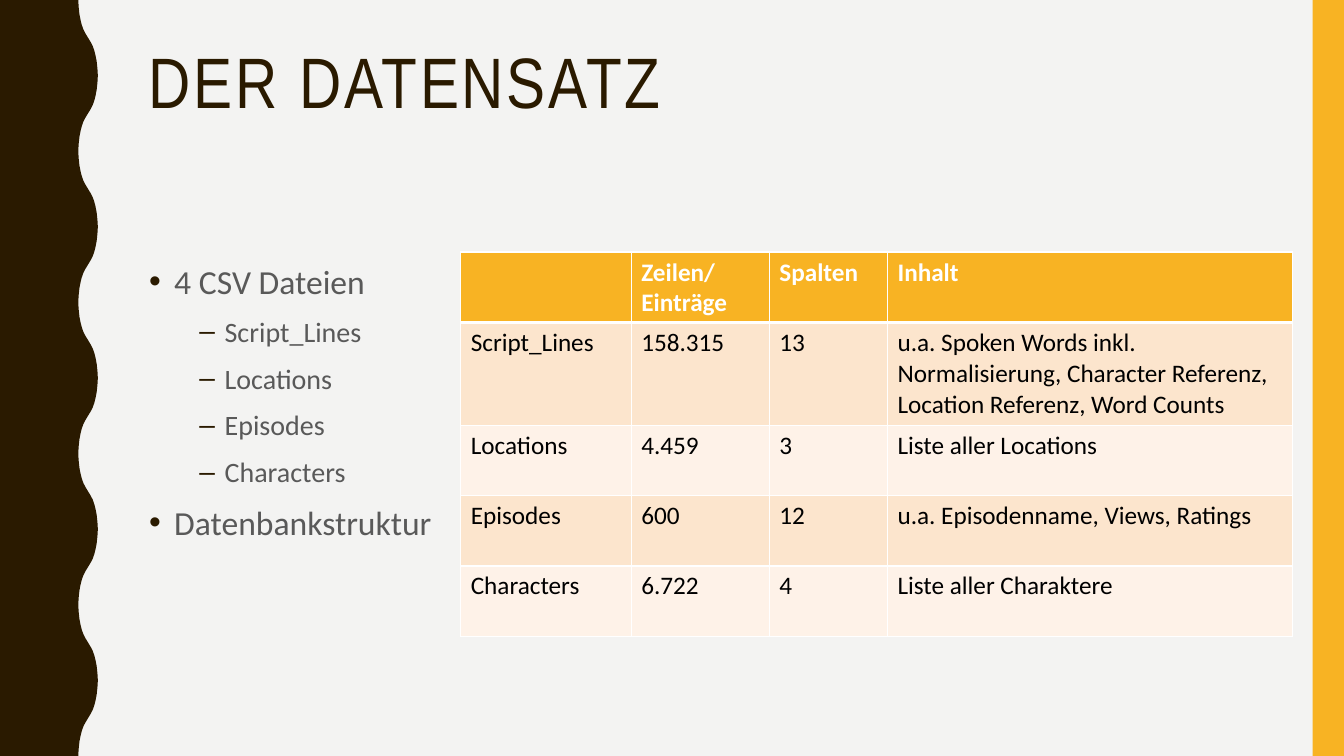
from lxml import etree
from pptx import Presentation
from pptx.dml.color import RGBColor
from pptx.enum.shapes import MSO_SHAPE
from pptx.oxml.ns import qn
from pptx.util import Inches, Pt

RECTANGLE = MSO_SHAPE.RECTANGLE
BROWN = RGBColor(0x2A, 0x1A, 0x00)
AMBER = RGBColor(0xF8, 0xB3, 0x23)
BACKGROUND = RGBColor(0xF3, 0xF3, 0xF2)
GREY = RGBColor(0x59, 0x59, 0x59)
WHITE = RGBColor(0xFF, 0xFF, 0xFF)
BLACK = RGBColor(0x00, 0x00, 0x00)
BANDS = (RGBColor(0xFC, 0xE5, 0xCD), RGBColor(0xFE, 0xF2, 0xE8))
HEADING_FONT, BODY_FONT = "Arial Narrow", "Calibri"

WAVE_COUNT = 5
TROUGH = 0.8
RISE = ((0, 0), (0.02, 0.09), (0.06, 0.19), (0.12, 0.27), (0.18, 0.33),
        (0.26, 0.39), (0.36, 0.44), (0.5, 0.5))

BULLETS = (("4 CSV Dateien", 0), ("Script_Lines", 1), ("Locations", 1),
           ("Episodes", 1), ("Characters", 1), ("Datenbankstruktur", 0))
LEVELS = ((24, 0.25, "•"), (20, 0.75, "–"))

COLUMN_SHARES = (0.205, 0.166, 0.142, 0.487)
ROW_SHARES = (0.183, 0.268, 0.183, 0.183, 0.183)
FILES = (
    ("", "Zeilen/\nEinträge", "Spalten", "Inhalt"),
    ("Script_Lines", "158.315", "13",
     "u.a. Spoken Words inkl. Normalisierung, Character Referenz,\n"
     "Location Referenz, Word Counts"),
    ("Locations", "4.459", "3", "Liste aller Locations"),
    ("Episodes", "600", "12", "u.a. Episodenname, Views, Ratings"),
    ("Characters", "6.722", "4", "Liste aller Charaktere"),
)


def box_of(presentation, left, top, width, height):
    """Turn percentages of the slide into a box of lengths."""
    across, down = presentation.slide_width, presentation.slide_height
    return (int(across * left / 100), int(down * top / 100),
            int(across * width / 100), int(down * height / 100))


def paint(shape, color):
    """Give a shape a plain fill without line or shadow."""
    shape.fill.solid()
    shape.fill.fore_color.rgb = color
    shape.line.fill.background()
    shape.shadow.inherit = False


def style(paragraph, name, size, color, bold=False):
    """Set the font of a whole paragraph."""
    font = paragraph.font
    font.name, font.size, font.bold = name, Pt(size), bold
    font.color.rgb = color


def add_wavy_band(slide, box):
    """Draw the band whose right edge swings between trough and crest."""
    left, top, width, height = box
    half = height / WAVE_COUNT / 2
    rise = RISE + tuple((1 - depth, 1 - step) for depth, step in RISE[-2::-1])
    edge = []
    for wave in range(WAVE_COUNT):
        start = top + 2 * wave * half
        edge += [(depth, start + step * half) for depth, step in rise]
        edge += [(depth, start + (2 - step) * half) for depth, step in rise[::-1]]
    points = [(left + width * (TROUGH + (1 - TROUGH) * depth), y)
              for depth, y in edge]
    builder = slide.shapes.build_freeform(left, top)
    builder.add_line_segments(points + [(left, top + height)], close=True)
    paint(builder.convert_to_shape(), BROWN)


def add_side_bar(slide, box):
    """Draw the plain bar on the right."""
    paint(slide.shapes.add_shape(RECTANGLE, *box), AMBER)


def add_text_frame(slide, box):
    """Add a wrapping text box and return its frame."""
    frame = slide.shapes.add_textbox(*box).text_frame
    frame.word_wrap = True
    return frame


def add_title(slide, box, text):
    """Write the letter-spaced title."""
    paragraph = add_text_frame(slide, box).paragraphs[0]
    run = paragraph.add_run()
    run.text = text
    run._r.get_or_add_rPr().set("spc", "200")
    paragraph.line_spacing = 0.9
    style(paragraph, HEADING_FONT, 51, BROWN)


def add_bullets(slide, box):
    """Write the two-level list."""
    frame = add_text_frame(slide, box)
    frame.text = "\n".join(text for text, level in BULLETS)
    for paragraph, (text, level) in zip(frame.paragraphs, BULLETS):
        size, indent, mark = LEVELS[level]
        paragraph.level = level
        paragraph.line_spacing = 1.1
        paragraph.space_before = Pt(7)
        style(paragraph, BODY_FONT, size, GREY)
        properties = paragraph._p.get_or_add_pPr()
        properties.set("marL", str(Inches(indent)))
        properties.set("indent", str(-Inches(0.25)))
        bullet_color = etree.Element(qn("a:buClr"))
        etree.SubElement(bullet_color, qn("a:srgbClr"), val=str(BROWN))
        bullet_font = etree.Element(qn("a:buFont"), typeface="Arial")
        bullet = etree.Element(qn("a:buChar"), char=mark)
        defaults = properties.find(qn("a:defRPr"))
        for element in (bullet_color, bullet_font, bullet):
            if defaults is None:
                properties.append(element)
            else:
                defaults.addprevious(element)


def add_borders(cell, top, bottom):
    """Put white lines around a cell, with the given top and bottom widths."""
    properties = cell._tc.get_or_add_tcPr()
    widths = (("L", 1), ("R", 1), ("T", top), ("B", bottom))
    for position, (side, width) in enumerate(widths):
        line = etree.Element(qn("a:ln" + side), w=str(Pt(width)))
        fill = etree.SubElement(line, qn("a:solidFill"))
        etree.SubElement(fill, qn("a:srgbClr"), val=str(WHITE))
        properties.insert(position, line)


def add_file_table(slide, box):
    """Build the table of data files."""
    width, height = box[2:]
    table = slide.shapes.add_table(len(FILES), len(FILES[0]), *box).table
    for column, share in zip(table.columns, COLUMN_SHARES):
        column.width = int(width * share)
    for number, (row, share) in enumerate(zip(table.rows, ROW_SHARES)):
        row.height = int(height * share)
        header = number == 0
        for cell, text in zip(row.cells, FILES[number]):
            cell.text = text
            cell.fill.solid()
            cell.fill.fore_color.rgb = AMBER if header else BANDS[(number - 1) % 2]
            add_borders(cell, 3 if number == 1 else 1, 3 if header else 1)
            for paragraph in cell.text_frame.paragraphs:
                style(paragraph, BODY_FONT, 18, WHITE if header else BLACK, header)


def build_dataset_slide(presentation):
    """Compose the slide about the data set."""
    slide = presentation.slides.add_slide(presentation.slide_layouts[6])
    slide.background.fill.solid()
    slide.background.fill.fore_color.rgb = BACKGROUND
    add_wavy_band(slide, box_of(presentation, 0, 0, 7.28, 100))
    add_side_bar(slide, box_of(presentation, 97.67, 0, 2.33, 100))
    add_title(slide, box_of(presentation, 10.3, 5.6, 83.5, 21.73), "DER DATENSATZ")
    add_bullets(slide, box_of(presentation, 10.35, 33.33, 39.38, 52.8))
    add_file_table(slide, box_of(presentation, 34.28, 33.33, 61.9, 50.8))


presentation = Presentation()
presentation.slide_width, presentation.slide_height = Inches(13.33), Inches(7.5)
build_dataset_slide(presentation)
presentation.save("out.pptx")
